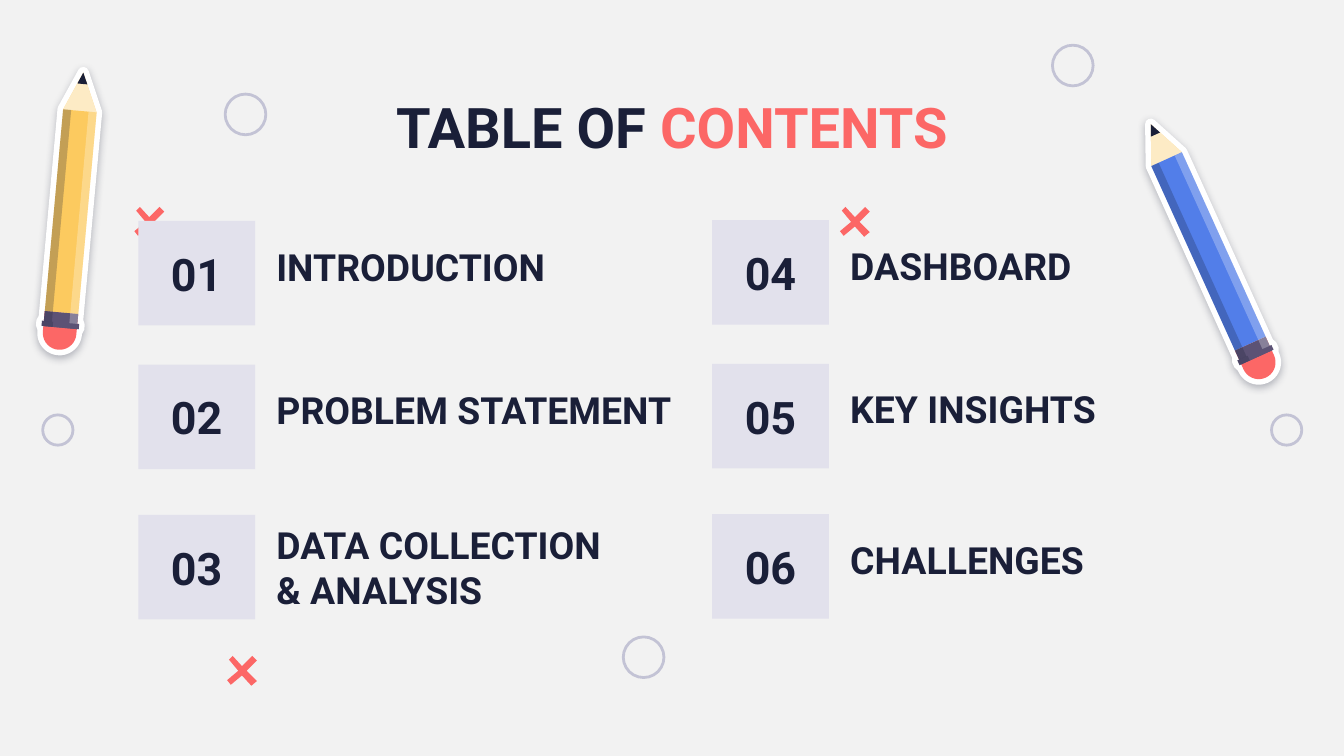
from math import cos, radians, sin

from lxml import etree
from pptx import Presentation
from pptx.dml.color import RGBColor
from pptx.enum.shapes import MSO_SHAPE
from pptx.enum.text import MSO_ANCHOR, PP_ALIGN
from pptx.oxml.ns import qn
from pptx.util import Pt

OVAL, RECT = MSO_SHAPE.OVAL, MSO_SHAPE.RECTANGLE
TOP, MIDDLE, BOTTOM = MSO_ANCHOR.TOP, MSO_ANCHOR.MIDDLE, MSO_ANCHOR.BOTTOM
LEFT, CENTER = PP_ALIGN.LEFT, PP_ALIGN.CENTER

GRAY = RGBColor(0xF2, 0xF2, 0xF2)
NAVY = RGBColor(0x1A, 0x1F, 0x38)
CORAL = RGBColor(0xFC, 0x67, 0x66)
LILAC = RGBColor(0xE2, 0xE1, 0xEC)
MAUVE = RGBColor(0xC3, 0xC3, 0xD5)
WHITE = RGBColor(0xFF, 0xFF, 0xFF)
YELLOW = RGBColor(0xFC, 0xCA, 0x5F)
BLUE = RGBColor(0x52, 0x7E, 0xE9)
PLUM = RGBColor(0x5C, 0x52, 0x75)

FONT = "Roboto"
INSET = 7.2

# Left, top, diameter
RINGS = [(563.8, 24.2, 21.8), (22.9, 222.3, 16.2), (681.2, 222.3, 16.2),
         (333.9, 341.2, 21.8), (120.6, 50.4, 21.8)]

CROSS = [(3, 0), (1, 2), (6, 8), (0, 13), (2, 15.5), (8, 10.5),
         (13, 16), (16, 13.5), (10.5, 8), (16, 2.5), (13.5, 0), (8, 5.5)]
CROSSES = [(121.7, 351.4), (72, 110.9), (450, 110.9)]

BOX_W, BOX_H = 62.6, 56
BOX_TOPS = [118, 195, 275.5]
LABEL_GAP, LABEL_H = 66.9, 31.7

# Column left, column drop, then (label, label top, label width) for each row
COLUMNS = [
    (74.1, 0.4, [("INTRODUCTION", 130.2, 200),
                 ("PROBLEM STATEMENT", 206.8, 226),
                 ("DATA COLLECTION & ANALYSIS", 303.2, 200)]),
    (381.5, 0, [("DASHBOARD", 129.8, 200),
                ("KEY INSIGHTS", 206.2, 200),
                ("CHALLENGES", 287.2, 200)]),
]

# Pencil lengths run from the base of the tip; widths from the middle line
TIP, LEAD = -20.6, -14.5
BODY, BAND, CAP, ROUND = 108.5, 113.8, 116.6, 119.5
HALF, RIM, STRIP = 9, 10, 4.7


def write(shape, runs, size, anchor, align):
    """Fill a shape with one paragraph of (text, colour) runs."""
    frame = shape.text_frame
    frame.word_wrap = True
    frame.vertical_anchor = anchor
    frame.margin_left = frame.margin_right = Pt(INSET)
    frame.margin_top = frame.margin_bottom = Pt(INSET)
    line = frame.paragraphs[0]
    line.alignment = align
    for text, color in runs:
        run = line.add_run()
        run.text = text
        run.font.name = FONT
        run.font.size = Pt(size)
        run.font.bold = True
        run.font.color.rgb = color


def add_text(shapes, place, runs, size, anchor, align):
    box = shapes.add_textbox(*map(Pt, place))
    write(box, runs, size, anchor, align)


def add_ring(shapes, left, top, size):
    ring = shapes.add_shape(OVAL, Pt(left), Pt(top), Pt(size), Pt(size))
    ring.shadow.inherit = False
    ring.fill.background()
    ring.line.color.rgb = MAUVE
    ring.line.width = Pt(1.5)


def add_box(shapes, left, top, number):
    box = shapes.add_shape(RECT, Pt(left), Pt(top), Pt(BOX_W), Pt(BOX_H))
    box.shadow.inherit = False
    box.fill.solid()
    box.fill.fore_color.rgb = LILAC
    box.line.fill.background()
    write(box, [(number, NAVY)], 24, MIDDLE, CENTER)


def set_alpha(color, percent):
    etree.SubElement(color, qn("a:alpha"), val=str(percent * 1000))


def add_form(shapes, points, color, alpha=100):
    """Draw a closed outline, points in slide points."""
    spots = [(Pt(x), Pt(y)) for x, y in points]
    maker = shapes.build_freeform(*spots[0])
    maker.add_line_segments(spots[1:], close=True)
    form = maker.convert_to_shape()
    form.shadow.inherit = False
    form.fill.solid()
    form.fill.fore_color.rgb = color
    form.line.fill.background()
    if alpha < 100:
        set_alpha(form.element.spPr.find(qn("a:solidFill"))[0], alpha)
    return form


def add_rim(form):
    """Give a form a thick white edge and a soft shadow below."""
    form.line.color.rgb = WHITE
    form.line.width = Pt(6)
    effects = form.element.spPr.find(qn("a:effectLst"))
    shade = etree.SubElement(effects, qn("a:outerShdw"), blurRad=str(Pt(4.5)),
                             dist=str(Pt(1.5)), dir="5400000",
                             algn="bl", rotWithShape="0")
    set_alpha(etree.SubElement(shade, qn("a:srgbClr"), val=str(NAVY)), 30)


def block(start, end, low, high):
    return [(start, low), (start, high), (end, high), (end, low)]


def add_pencil(slide, left, top, angle, paint):
    """Draw a pencil from the base of its tip, pointing its end at angle."""
    shapes = slide.shapes.add_group_shape().shapes
    dx, dy = cos(radians(angle)), sin(radians(angle))

    def turn(points):
        return [(left + u * dx + v * dy, top + u * dy - v * dx)
                for u, v in points]

    curve = [(ROUND + HALF * cos(radians(a)), HALF * sin(radians(a)))
             for a in range(90, -91, -10)]
    side = [(0, HALF), (BAND, HALF), (BAND, RIM), (CAP, RIM), (CAP, HALF)]
    back = [(u, -v) for u, v in reversed(side)]
    add_rim(add_form(shapes, turn([(TIP, 0)] + side + curve + back), WHITE))

    cone = [(TIP, 0), (0, HALF), (0, -HALF)]
    width = HALF * (LEAD - TIP) / -TIP
    parts = [
        (cone, paint if paint == YELLOW else YELLOW, 100),
        (cone, WHITE, 64),
        ([(BODY, HALF)] + curve + [(BODY, -HALF)], CORAL, 100),
        (block(0, BODY, -HALF, HALF), paint, 100),
        ([(TIP, 0), (LEAD, width), (LEAD, -width)], NAVY, 100),
        (block(BODY, CAP, -HALF, HALF), PLUM, 100),
        (block(BAND, CAP, -RIM, RIM), PLUM, 100),
        (block(0, BAND, -HALF, -STRIP), NAVY, 25),
        (block(0, BAND, STRIP, HALF), WHITE, 27),
        (block(BAND, CAP, -RIM, -4), NAVY, 25),
    ]
    for points, color, alpha in parts:
        add_form(shapes, turn(points), color, alpha)


def add_column(shapes, first, left, drop, rows):
    for row, (label, top, width) in enumerate(rows):
        add_box(shapes, left, BOX_TOPS[row] + drop, f"{first + row:02}")
        place = (left + LABEL_GAP, top, width, LABEL_H)
        add_text(shapes, place, [(label, NAVY)], 20, BOTTOM, LEFT)


def main():
    deck = Presentation()
    deck.slide_width, deck.slide_height = Pt(720), Pt(405)
    slide = deck.slides.add_slide(deck.slide_layouts[6])
    slide.background.fill.solid()
    slide.background.fill.fore_color.rgb = GRAY
    shapes = slide.shapes

    for ring in RINGS:
        add_ring(shapes, *ring)
    for left, top in CROSSES:
        add_form(shapes, [(left + x, top + y) for x, y in CROSS], CORAL)
    add_text(shapes, (56.5, 42.5, 607, 45.4),
             [("TABLE OF ", NAVY), ("CONTENTS", CORAL)], 30, TOP, CENTER)
    add_pencil(slide, 42.8, 59.4, 95.2, YELLOW)
    add_pencil(slide, 625, 85.3, 65.6, BLUE)
    for index, column in enumerate(COLUMNS):
        add_column(shapes, 1 + index * len(BOX_TOPS), *column)
    deck.save("out.pptx")


if __name__ == "__main__":
    main()
